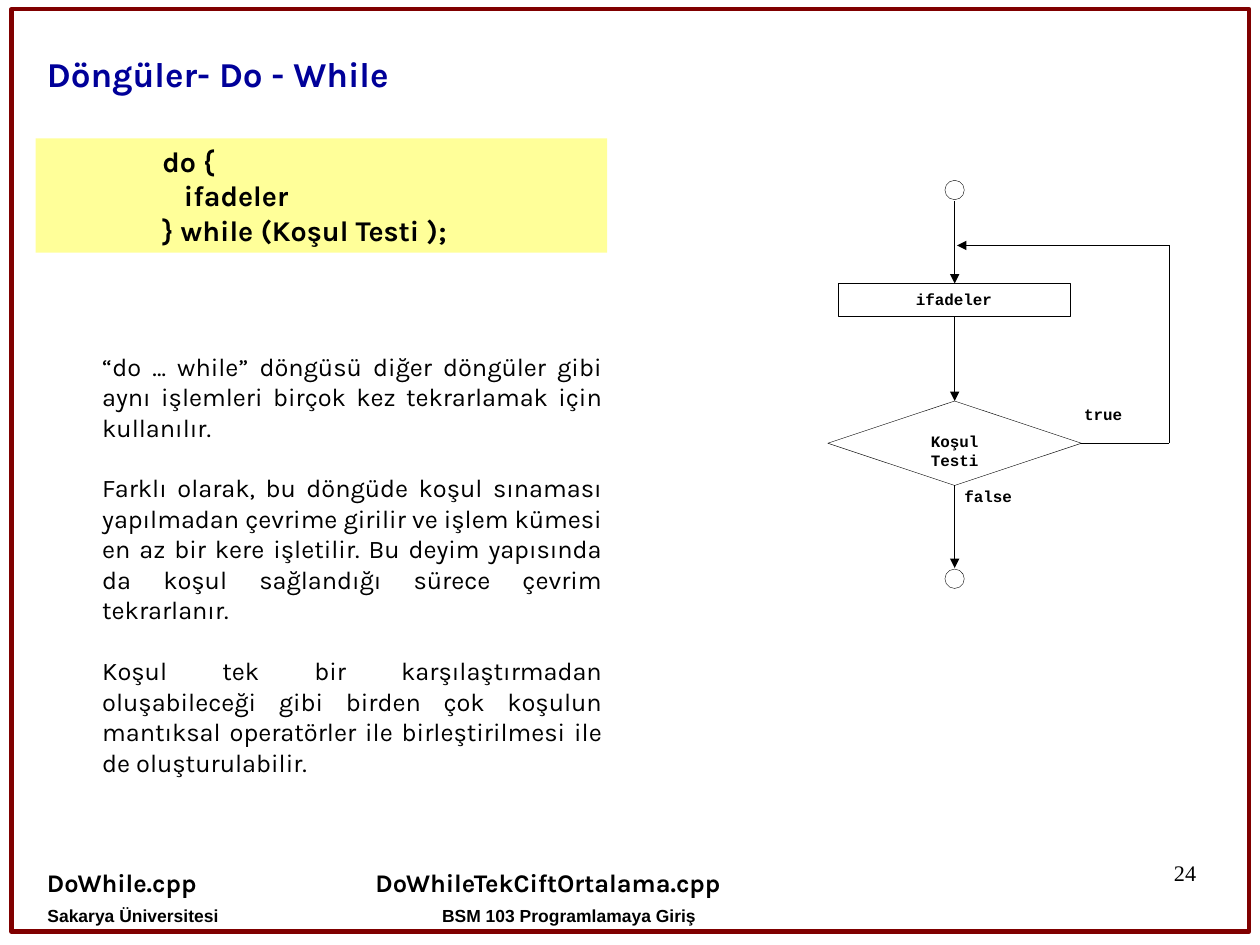
import pptx
import pptx.util
import pptx.dml.color
import pptx.enum.shapes
import pptx.enum.text
import lxml.etree

Pt = pptx.util.Pt
RGBColor = pptx.dml.color.RGBColor
MSO_SHAPE = pptx.enum.shapes.MSO_SHAPE
STRAIGHT = pptx.enum.shapes.MSO_CONNECTOR.STRAIGHT
ANCHOR = pptx.enum.text.MSO_ANCHOR
ALIGN = pptx.enum.text.PP_ALIGN

BLACK = RGBColor(0x00, 0x00, 0x00)
WHITE = RGBColor(0xFF, 0xFF, 0xFF)
MAROON = RGBColor(0x80, 0x00, 0x00)
NAVY = RGBColor(0x00, 0x00, 0x99)
YELLOW = RGBColor(0xFF, 0xFF, 0x99)

DRAWING_NS = "http://schemas.openxmlformats.org/drawingml/2006/main"

deck = pptx.Presentation()
deck.slide_width = Pt(793.75)
deck.slide_height = Pt(595.25)
page = deck.slides.add_slide(deck.slide_layouts[6])


def write(shape, lines, font, size, bold=True, color=BLACK, align=ALIGN.LEFT,
          insets=(0, 0, 0, 0), anchor=ANCHOR.TOP, indent=0, gap=0, spacing=None):
    """Fill a shape with one paragraph per line; insets are left, top, right, bottom."""
    frame = shape.text_frame
    frame.word_wrap = True
    frame.vertical_anchor = anchor
    frame.margin_left, frame.margin_top, frame.margin_right, frame.margin_bottom = map(Pt, insets)
    frame.text = "\n".join(lines)
    for number, para in enumerate(frame.paragraphs):
        para.alignment = align
        if spacing:
            para.line_spacing = spacing
        if gap and number:
            para.space_before = Pt(gap)
        if indent:
            para._p.get_or_add_pPr().set("marL", str(Pt(indent)))
        for span in para.runs:
            span.font.name = font
            span.font.size = Pt(size)
            span.font.bold = bold
            span.font.color.rgb = color


def add_box(kind, left, top, width, height, fill=None, line=None, weight=0.25):
    """Add a preset shape without shadow; no colour means no fill or no line."""
    shape = page.shapes.add_shape(kind, Pt(left), Pt(top), Pt(width), Pt(height))
    shape.shadow.inherit = False
    if fill is None:
        shape.fill.background()
    else:
        shape.fill.solid()
        shape.fill.fore_color.rgb = fill
    if line is None:
        shape.line.fill.background()
    else:
        shape.line.color.rgb = line
        shape.line.width = Pt(weight)
    return shape


# Frame and code panel
add_box(MSO_SHAPE.RECTANGLE, 7.2, 5.8, 779.8, 581, line=MAROON, weight=2.83)
code_panel = add_box(MSO_SHAPE.RECTANGLE, 22.5, 87.2, 360, 72, fill=YELLOW)
PADDING = (7.2, 3.6, 7.2, 3.6)
write(code_panel, ["do {", "   ifadeler", "} while (Koşul Testi );"], "Karla", 18,
      insets=PADDING, indent=72.7)

# Flowchart nodes
CENTER = 601.4
CIRCLE = 12.2
for circle_top in (113.6, 358.5):
    add_box(MSO_SHAPE.OVAL, CENTER - CIRCLE / 2, circle_top, CIRCLE, CIRCLE, line=BLACK)
body = add_box(MSO_SHAPE.RECTANGLE, CENTER - 73.1, 178.6, 146.2, 20.9, line=BLACK)
write(body, ["ifadeler"], "Courier New", 10, align=ALIGN.CENTER, insets=(0, 3.6, 1, 0))
test = add_box(MSO_SHAPE.DIAMOND, CENTER - 79.9, 252.6, 159.8, 53.2, fill=WHITE, line=BLACK)
write(test, ["Koşul", "Testi"], "Courier New", 10, align=ALIGN.CENTER, insets=(0, 6.1, 0, 0))

# Flowchart lines: start, end, arrowhead, joined (shape, side) at start and at end
LOOP_X, LOOP_Y, TEST_Y = 736.5, 154.6, 279.2
flow_lines = [
    ((CENTER, 126.7), (CENTER, 178.6), True, None, (body, 0)),
    ((CENTER, 199.5), (CENTER, 252.6), True, (body, 2), (test, 0)),
    ((CENTER, 305.8), (CENTER, 357.8), True, (test, 2), None),
    ((CENTER + 79.9, TEST_Y), (LOOP_X, TEST_Y), False, (test, 3), None),
    ((LOOP_X, TEST_Y), (LOOP_X, LOOP_Y), False, None, None),
    ((LOOP_X, LOOP_Y), (CENTER + 1.5, LOOP_Y), True, None, None),
]
for start, end, arrow, joined_start, joined_end in flow_lines:
    flow = page.shapes.add_connector(STRAIGHT, *map(Pt, start + end))
    if joined_start:
        flow.begin_connect(*joined_start)
    if joined_end:
        flow.end_connect(*joined_end)
    flow.line.color.rgb = BLACK
    flow.line.width = Pt(0.25)
    if arrow:
        lxml.etree.SubElement(flow.line._get_or_add_ln(), f"{{{DRAWING_NS}}}tailEnd", type="triangle")
    lxml.etree.SubElement(flow._element.spPr, f"{{{DRAWING_NS}}}effectLst")

# Text boxes: left, top, width, height, lines, font, size, formatting
explanation = [
    "“do … while” döngüsü diğer döngüler gibi aynı işlemleri birçok kez tekrarlamak için kullanılır.",
    "Farklı olarak, bu döngüde koşul sınaması yapılmadan çevrime girilir ve işlem kümesi en az bir "
    "kere işletilir. Bu deyim yapısında da koşul sağlandığı sürece çevrim tekrarlanır.",
    "Koşul tek bir karşılaştırmadan oluşabileceği gibi birden çok koşulun mantıksal operatörler ile "
    "birleştirilmesi ile de oluşturulabilir.",
]
FOOTER = dict(insets=(15.8, 13, 15.8, 0), spacing=0.93)
texts = [
    (22.5, 19.8, 576, 43.2, ["Döngüler- Do - While"], "Karla", 22,
     dict(color=NAVY, insets=PADDING, anchor=ANCHOR.BOTTOM)),
    (35, 217.4, 351.4, 275.8, explanation, "Karla", 16,
     dict(bold=False, align=ALIGN.JUSTIFY, insets=PADDING, indent=22.3, gap=19.2)),
    (683, 254.9, 46.8, 25.2, ["true"], "Courier New", 10, {}),
    (607.5, 306.7, 56.9, 25.2, ["false"], "Courier New", 10, {}),
    (22.5, 542.9, 172.8, 26.6, ["DoWhile.cpp"], "Karla", 16, dict(insets=PADDING)),
    (229.4, 542.9, 257.8, 26.6, ["DoWhileTekCiftOrtalama.cpp"], "Karla", 16, dict(insets=PADDING)),
    (14.1, 558.7, 169.9, 36.5, ["Sakarya Üniversitesi"], "Arial", 11, FOOTER),
    (223.9, 558.7, 269.3, 36.5, ["BSM 103 Programlamaya Giriş"], "Arial", 11,
     dict(FOOTER, align=ALIGN.CENTER)),
    (568.6, 542.2, 185, 41, ["24"], "Times New Roman", 14,
     dict(bold=False, align=ALIGN.RIGHT, spacing=0.95)),
]
for left, top, width, height, lines, font, size, formatting in texts:
    box = page.shapes.add_textbox(Pt(left), Pt(top), Pt(width), Pt(height))
    write(box, lines, font, size, **formatting)

deck.save("out.pptx")
